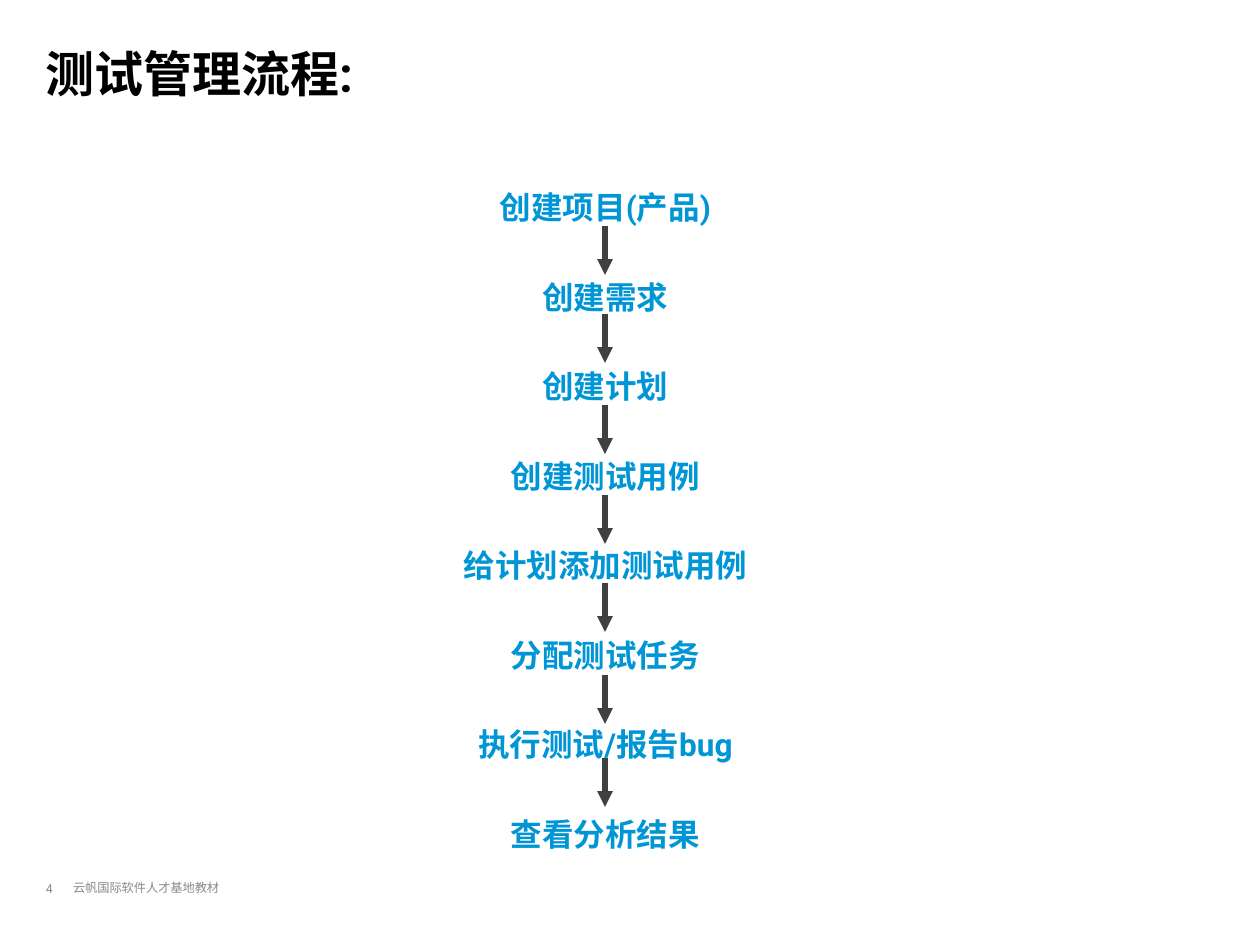
"""Build the test management process slide."""
from lxml import etree
from pptx import Presentation, util as u
from pptx.dml.color import RGBColor
from pptx.enum import shapes, text
from pptx.oxml.ns import qn

PX = 914400 / 126
BLACK = RGBColor(0x00, 0x00, 0x00)
BLUE = RGBColor(0x00, 0x96, 0xD6)
GREY = RGBColor(0x87, 0x89, 0x8B)
DARK = RGBColor(0x40, 0x40, 0x40)

STEPS = ["创建项目(产品)", "创建需求", "创建计划", "创建测试用例",
         "给计划添加测试用例", "分配测试任务", "执行测试/报告bug", "查看分析结果"]
ARROW_TOPS = [226, 314, 405, 495, 583, 675, 758]
ARROW_X, ARROW_LENGTH = 605, 49


def px(*lengths):
    return [u.Emu(round(length * PX)) for length in lengths]


def write(box, lines, *, at, size, color, bold=False, align=text.PP_ALIGN.LEFT,
          anchor=text.MSO_ANCHOR.TOP, insets=(0, 0, 0, 0), wrap=True, gap=0):
    box.left, box.top, box.width, box.height = px(*at)
    frame = box.text_frame
    frame.auto_size = text.MSO_AUTO_SIZE.NONE
    frame.word_wrap = wrap
    frame.vertical_anchor = anchor
    (frame.margin_left, frame.margin_top,
     frame.margin_right, frame.margin_bottom) = px(*insets)
    frame.text = "\n".join(lines)
    for paragraph in frame.paragraphs:
        paragraph.alignment = align
        paragraph.space_before = u.Pt(0)
        paragraph.space_after = u.Pt(gap)
        for run in paragraph.runs:
            run.font.name = "Roboto"
            run.font.size = u.Pt(size)
            run.font.bold = bold
            run.font.color.rgb = color


deck = Presentation()
deck.slide_width, deck.slide_height = px(1260, 945)
slide = deck.slides.add_slide(deck.slide_layouts[5])

footer = slide.shapes.add_textbox(0, 0, 0, 0)
write(footer, ["云帆国际软件人才基地教材"], at=(61, 874, 1104, 42), size=7,
      color=GREY, insets=(12, 6, 12, 6))

page_number = slide.shapes.add_textbox(0, 0, 0, 0)
write(page_number, ["4"], at=(46, 875, 44, 28), size=7, color=GREY,
      anchor=text.MSO_ANCHOR.MIDDLE, insets=(0, 6, 13, 6), wrap=False)

write(slide.shapes.title, ["测试管理流程:"], at=(46, 43, 1119, 79), size=28,
      color=BLACK, bold=True)

process = slide.shapes.add_textbox(0, 0, 0, 0)
write(process, STEPS, at=(46, 188, 1119, 591), size=18, color=BLUE, bold=True,
      align=text.PP_ALIGN.CENTER, gap=29.6)

for top in ARROW_TOPS:
    arrow = slide.shapes.add_connector(
        shapes.MSO_CONNECTOR.STRAIGHT,
        *px(ARROW_X, top, ARROW_X, top + ARROW_LENGTH))
    arrow.line.color.rgb = DARK
    arrow.line.width = u.Pt(3)
    etree.SubElement(arrow.line._get_or_add_ln(), qn("a:tailEnd"), type="triangle")
    etree.SubElement(arrow._element.spPr, qn("a:effectLst"))

deck.save("out.pptx")
